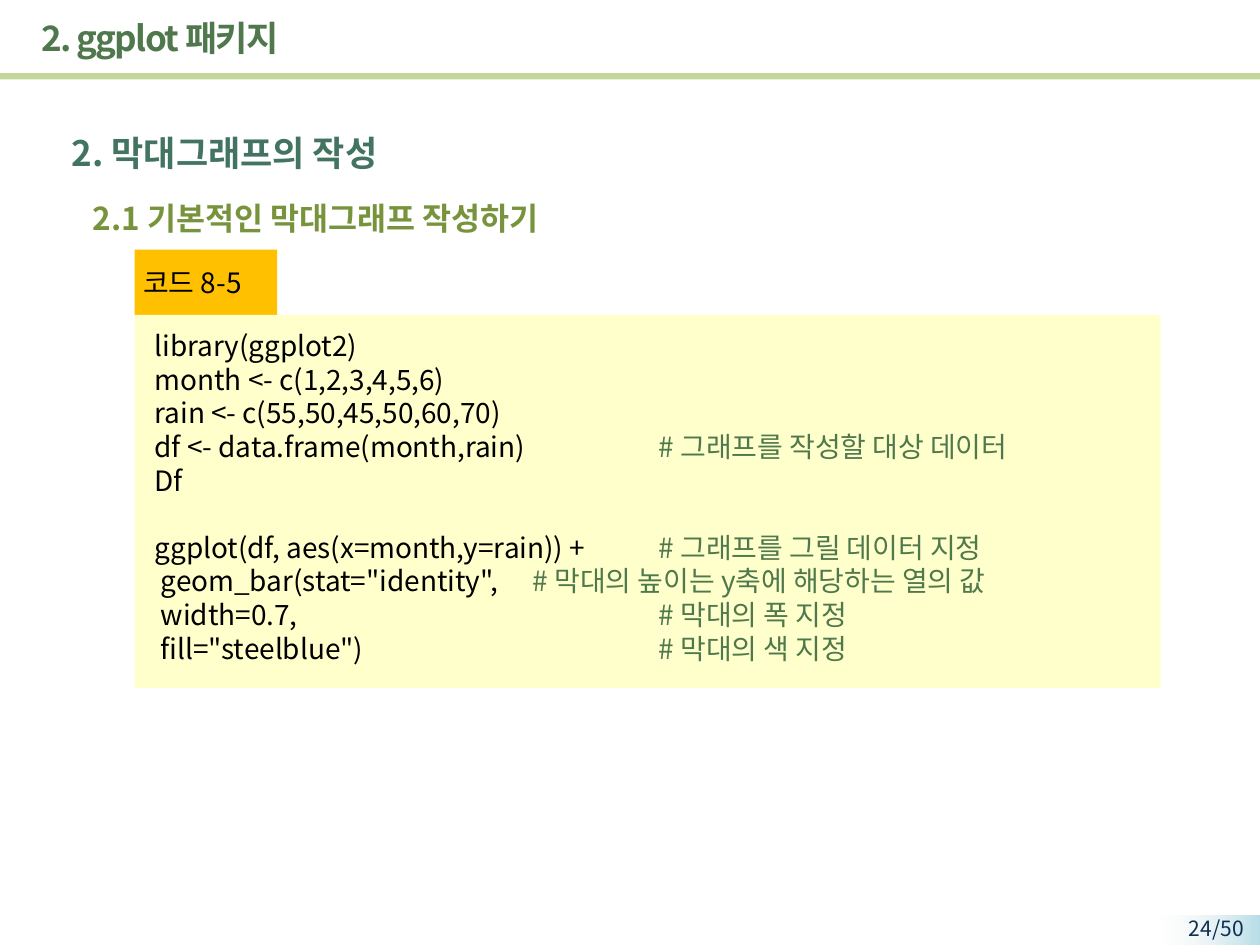
from dataclasses import dataclass

from lxml import etree
from pptx import Presentation
from pptx.dml.color import RGBColor
from pptx.enum.shapes import MSO_SHAPE
from pptx.enum.text import MSO_ANCHOR, PP_ALIGN
from pptx.oxml.ns import qn
from pptx.util import Pt

RECTANGLE = MSO_SHAPE.RECTANGLE
LEFT, RIGHT = PP_ALIGN.LEFT, PP_ALIGN.RIGHT
MIDDLE = MSO_ANCHOR.MIDDLE
TITLE_ONLY = 5


@dataclass(frozen=True)
class Theme:
    font: str = "Noto Sans CJK KR"
    title: str = "4F784C"
    heading: str = "437361"
    subheading: str = "77933C"
    rule: str = "C3D69B"
    label_fill: str = "FFC000"
    code_fill: str = "FFFFCC"
    code: str = "000000"
    comment: str = "4F784C"
    page: str = "0F2E53"
    page_fill: str = "B7DEE8"
    page_fade: str = "F2F2F2"
    heading_size: int = 20
    subheading_size: int = 18
    code_size: int = 16
    page_size: int = 12
    code_line: float = 19.2
    tab: int = 72


THEME = Theme()

# Each line: code, comment, and the tab stop (in default tabs) of the comment
CODE_LINES = [
    ("library(ggplot2)", "", 0),
    ("month <- c(1,2,3,4,5,6)", "", 0),
    ("rain <- c(55,50,45,50,60,70)", "", 0),
    ("df <- data.frame(month,rain)", "# 그래프를 작성할 대상 데이터", 4),
    ("Df", "", 0),
    ("ggplot(df, aes(x=month,y=rain)) +", "# 그래프를 그릴 데이터 지정", 4),
    (' geom_bar(stat="identity",', "# 막대의 높이는 y축에 해당하는 열의 값", 3),
    (" width=0.7,", "# 막대의 폭 지정", 4),
    (' fill="steelblue")', "# 막대의 색 지정", 4),
]
PLOT_START = 5


def color(value):
    return RGBColor.from_string(value)


def style(paragraph, size, text_color, bold=False, spacing=0):
    font = paragraph.font
    font.size = Pt(size)
    font.bold = bold
    font.color.rgb = color(text_color)
    font.name = THEME.font
    properties = paragraph._p.pPr.find(qn("a:defRPr"))
    etree.SubElement(properties, qn("a:ea"), typeface=THEME.font)
    if spacing:
        properties.set("spc", str(spacing * 100))


def add_rectangle(slide, box, fill):
    shape = slide.shapes.add_shape(RECTANGLE, *map(Pt, box))
    shape.shadow.inherit = False
    shape.line.fill.background()
    shape.fill.solid()
    shape.fill.fore_color.rgb = color(fill)
    return shape


def add_text_frame(slide, box, wrap=True):
    frame = slide.shapes.add_textbox(*map(Pt, box)).text_frame
    frame.word_wrap = wrap
    return frame


def add_header(slide, box):
    left, top, width, height = box
    add_rectangle(slide, (left, top + 41.8, width, 3.6), THEME.rule)
    title = slide.shapes.title
    title.left, title.top = Pt(left + 16.6), Pt(top + 2.9)
    title.width, title.height = Pt(612.7), Pt(37.4)
    frame = title.text_frame
    frame.vertical_anchor = MIDDLE
    paragraph = frame.paragraphs[0]
    paragraph.text = "2. ggplot 패키지"
    paragraph.alignment = LEFT
    style(paragraph, THEME.heading_size, THEME.title, bold=True, spacing=-1)


def add_headings(slide, box):
    frame = add_text_frame(slide, box)
    heading = frame.paragraphs[0]
    heading.text = "2. 막대그래프의 작성"
    heading.line_spacing = Pt(38)
    style(heading, THEME.heading_size, THEME.heading, bold=True)

    subheading = frame.add_paragraph()
    subheading.text = "2.1 기본적인 막대그래프 작성하기"
    subheading.line_spacing = Pt(32.4)
    subheading.space_before = Pt(4)
    subheading._p.get_or_add_pPr().set("marL", str(Pt(12)))
    style(subheading, THEME.subheading_size, THEME.subheading, bold=True)


def add_code_line(paragraph, code, comment, stop):
    paragraph.line_spacing = Pt(THEME.code_line)
    if comment:
        tabs = etree.SubElement(paragraph._p.get_or_add_pPr(), qn("a:tabLst"))
        etree.SubElement(tabs, qn("a:tab"), pos=str(Pt(stop * THEME.tab)), algn="l")
    style(paragraph, THEME.code_size, THEME.code)
    paragraph.add_run().text = code + ("\t" if comment else "")
    if comment:
        run = paragraph.add_run()
        run.text = comment
        run.font.color.rgb = color(THEME.comment)


def add_code_block(slide, box):
    left, top, width, height = box
    label_height = 37.4
    add_rectangle(slide, (left, top, 81.4, label_height), THEME.label_fill)
    add_rectangle(slide, (left, top + label_height, width, height - label_height),
                  THEME.code_fill)

    # Label on the tab
    label = add_text_frame(slide, (left - 2.2, top + 5.8, 77, 26.6), wrap=False)
    label.text = "코드 8-5"
    label.paragraphs[0].line_spacing = Pt(THEME.code_line)
    style(label.paragraphs[0], THEME.code_size, THEME.code)

    # Code with aligned comments
    frame = add_text_frame(slide, (left + 4.3, top + 41.8, 558.7, 220.3))
    for index, line in enumerate(CODE_LINES):
        paragraph = frame.add_paragraph() if index else frame.paragraphs[0]
        if index == PLOT_START:
            paragraph.space_before = Pt(THEME.code_line)
        add_code_line(paragraph, *line)


def add_page_number(slide, box):
    left, top, width, height = box
    shape = add_rectangle(slide, box, THEME.page_fill)
    shape.fill.gradient()
    shape.fill.gradient_angle = 180
    start, end = shape.fill.gradient_stops
    start.color.rgb, start.position = color(THEME.page_fill), 0
    end.color.rgb, end.position = color(THEME.page_fade), 1
    # Fade the inner end to transparent
    faded = shape._element.spPr.findall(".//" + qn("a:srgbClr"))[-1]
    etree.SubElement(faded, qn("a:alpha"), val="0")

    frame = add_text_frame(slide, (left - 10.8, top - 3.6, 66.2, 16.6))
    paragraph = frame.paragraphs[0]
    paragraph.text = "24/50"
    paragraph.alignment = RIGHT
    paragraph.line_spacing = Pt(14.4)
    style(paragraph, THEME.page_size, THEME.page)


def main():
    presentation = Presentation()
    presentation.slide_width, presentation.slide_height = Pt(720), Pt(540)
    slide = presentation.slides.add_slide(presentation.slide_layouts[TITLE_ONLY])
    add_header(slide, (0, 0, 720, 45.4))
    add_headings(slide, (33.8, 57.6, 673.2, 446.4))
    add_code_block(slide, (77, 142.6, 586.1, 250.5))
    add_page_number(slide, (662.4, 523.4, 57.6, 17.3))
    presentation.save("out.pptx")


if __name__ == "__main__":
    main()
